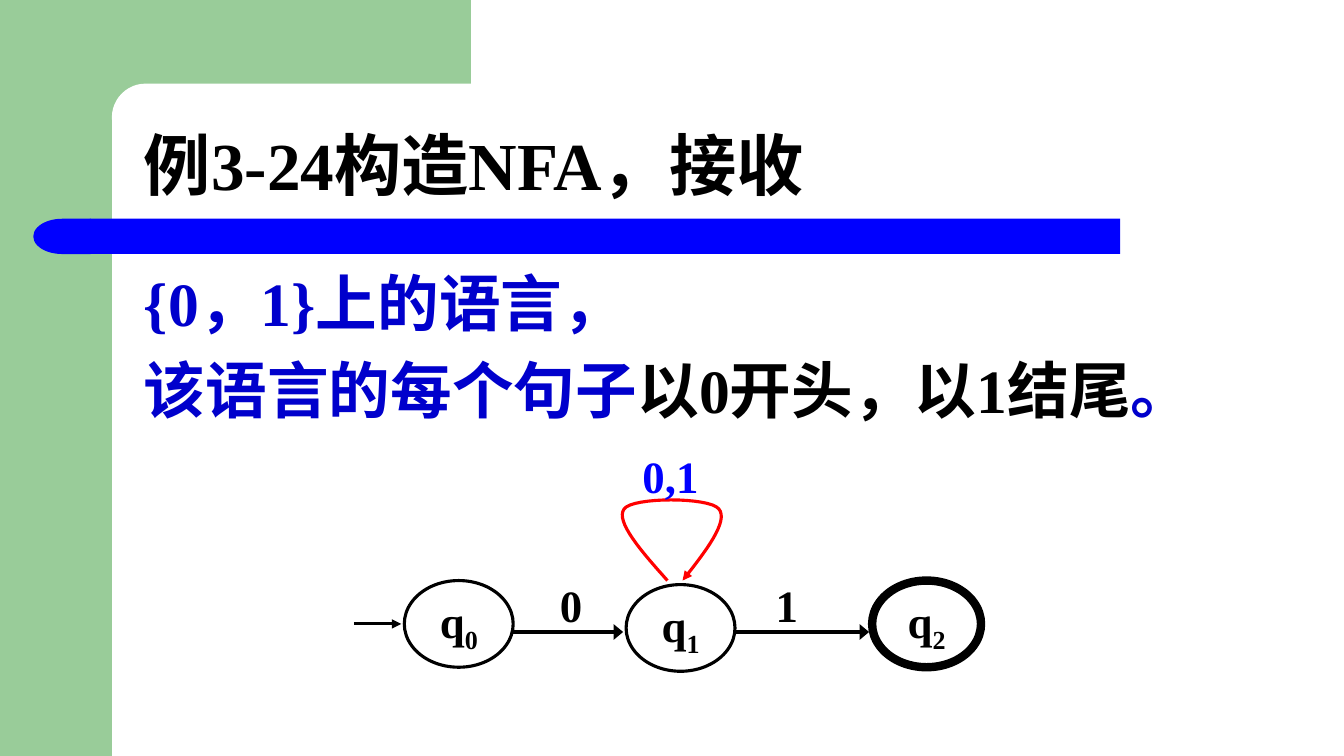
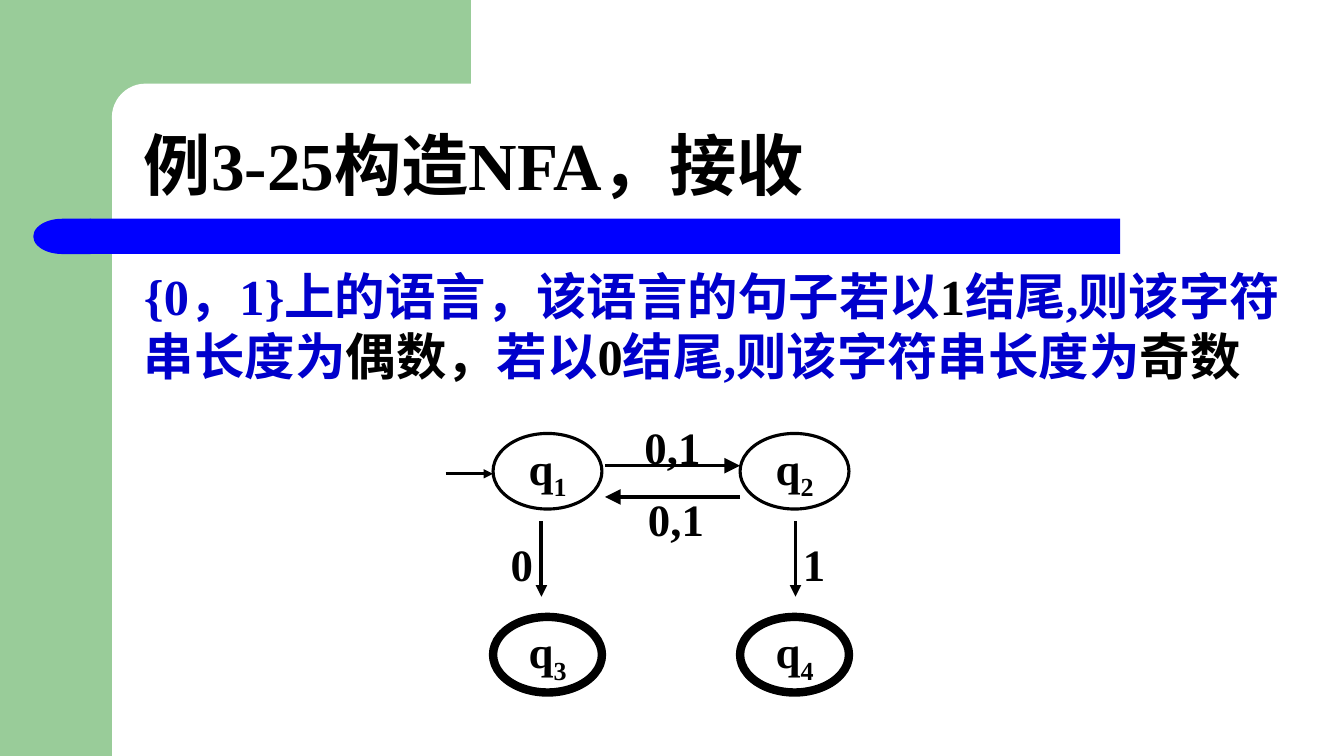
import pptx
import pptx.dml.color
import pptx.enum.lang
import pptx.enum.shapes
import pptx.enum.text
import pptx.oxml
import pptx.oxml.ns
import pptx.util

Inches, Pt = pptx.util.Inches, pptx.util.Pt
RGB = pptx.dml.color.RGBColor
SHAPE = pptx.enum.shapes.MSO_SHAPE
ALIGN = pptx.enum.text.PP_ALIGN
ANCHOR = pptx.enum.text.MSO_ANCHOR
CHINESE = pptx.enum.lang.MSO_LANGUAGE_ID.SIMPLIFIED_CHINESE

GREEN = RGB(0x99, 0xCC, 0x99)
WHITE = RGB(0xFF, 0xFF, 0xFF)
BLACK = RGB(0x00, 0x00, 0x00)
BLUE = RGB(0x00, 0x00, 0xFF)
NAVY = RGB(0x00, 0x00, 0xCC)
RED = RGB(0xFF, 0x00, 0x00)
FONT = "Times New Roman"
THIN, BOLD = 2.25, 6


# Basic parts
def write(frame, paras, size=32, align=ALIGN.LEFT, anchor=ANCHOR.TOP,
          wrap=True, inset=None, before=0, lead=None):
    """Fill a frame; each paragraph is a list of (text, colour, is_sub)."""
    frame.word_wrap = wrap
    frame.vertical_anchor = anchor
    if inset is not None:
        frame.margin_left = frame.margin_right = Inches(inset)
        frame.margin_top = frame.margin_bottom = Inches(inset)
    for i, runs in enumerate(paras):
        para = frame.add_paragraph() if i else frame.paragraphs[0]
        para.alignment = align
        para.space_before = Pt(before)
        if lead:
            para.line_spacing = lead
        for text, color, sub in runs:
            run = para.add_run()
            run.text = text
            font = run.font
            font.name, font.size, font.bold = FONT, Pt(size), True
            font.color.rgb = color
            font.language_id = CHINESE
            if sub:
                font._element.set("baseline", "-25000")


def text_box(slide, box, paras, **style):
    shape = slide.shapes.add_textbox(*map(Inches, box))
    write(shape.text_frame, paras, **style)


def block(slide, kind, box, color):
    shape = slide.shapes.add_shape(kind, *map(Inches, box))
    shape.shadow.inherit = False
    shape.fill.solid()
    shape.fill.fore_color.rgb = color
    shape.line.fill.background()
    return shape


def add_tip(line, wide="med", long="med"):
    tip = pptx.oxml.parse_xml(
        '<a:tailEnd %s type="triangle" w="%s" len="%s"/>'
        % (pptx.oxml.ns.nsdecls("a"), wide, long))
    line._get_or_add_ln().append(tip)


def arrow(slide, x1, y1, x2, y2, width=THIN, wide="med", long="med"):
    link = slide.shapes.add_connector(
        pptx.enum.shapes.MSO_CONNECTOR.STRAIGHT,
        *map(Inches, (x1, y1, x2, y2)))
    link.line.color.rgb = BLACK
    link.line.width = Pt(width)
    add_tip(link.line, wide, long)
    link._element.spPr.append(pptx.oxml.parse_xml(
        "<a:effectLst %s/>" % pptx.oxml.ns.nsdecls("a")))


def state(slide, x, y, high, index, final=False):
    oval = slide.shapes.add_shape(
        SHAPE.OVAL, *map(Inches, (x, y, 1.08, high)))
    oval.shadow.inherit = False
    oval.fill.background()
    oval.line.color.rgb = BLACK
    oval.line.width = Pt(BOLD if final else THIN)
    write(oval.text_frame, [[("q", BLACK, False), (index, BLACK, True)]],
          align=ALIGN.CENTER, anchor=ANCHOR.MIDDLE, wrap=False)


def label(slide, x, y, wide, text, color=BLACK):
    text_box(slide, (x, y, wide, 0.54), [[(text, color, False)]],
             align=ALIGN.CENTER, anchor=ANCHOR.MIDDLE, inset=0)


def loop(slide, x, y):
    """Red self-loop whose left foot stands at (x, y)."""
    curves = [
        ((0, 0), (-0.26, -0.29), (-0.52, -0.59), (-0.43, -0.71)),
        ((-0.43, -0.71), (-0.35, -0.83), (0.42, -0.83), (0.51, -0.71)),
        ((0.51, -0.71), (0.61, -0.59), (0.38, -0.29), (0.15, 0)),
    ]
    steps = 16
    dots = []
    for a, b, c, d in curves:
        for i in range(1, steps + 1):
            t = i / steps
            u = 1 - t
            mix = (u ** 3, 3 * u * u * t, 3 * u * t * t, t ** 3)
            dx, dy = (sum(m * p[k] for m, p in zip(mix, (a, b, c, d)))
                      for k in (0, 1))
            dots.append((Inches(x + dx), Inches(y + dy)))
    path = slide.shapes.build_freeform(Inches(x), Inches(y))
    path.add_line_segments(dots, close=False)
    shape = path.convert_to_shape()
    shape.shadow.inherit = False
    shape.fill.background()
    shape.line.color.rgb = RED
    shape.line.width = Pt(THIN)
    add_tip(shape.line)


# Shared frame, title and body
def base(deck, title, body, size, before):
    slide = deck.slides.add_slide(deck.slide_layouts[6])
    block(slide, SHAPE.RECTANGLE, (0, 0, 1.11, 7.5), GREEN)
    block(slide, SHAPE.RECTANGLE, (1, 0, 3.67, 1.17), GREEN)
    panel = block(slide, SHAPE.ROUNDED_RECTANGLE,
                  (1.11, 0.83, 7.44, 0.67), WHITE)
    panel.adjustments[0] = 0.5
    block(slide, SHAPE.RECTANGLE, (0.89, 2.17, 10.22, 0.35), BLUE)
    cap = block(slide, SHAPE.FLOWCHART_DELAY, (0.33, 2.17, 0.57, 0.35), BLUE)
    cap.rotation = 180
    text_box(slide, (1.33, 0.83, 11.67, 1.25), [[(title, BLACK, False)]],
             size=48, anchor=ANCHOR.BOTTOM, lead=0.9)
    text_box(slide, (1.33, 2.58, 11.67, 4.08), body, size=size, before=before)
    return slide


# Automaton in a row: starts with 0, ends with 1
def row_graph(slide, x, y):
    mid = y + 1.82
    loop(slide, x + 3.11, y + 1.31)
    state(slide, x + 0.5, y + 1.31, 0.86, "0")
    state(slide, x + 2.7, y + 1.35, 0.86, "1")
    state(slide, x + 5.14, y + 1.31, 0.86, "2", final=True)
    arrow(slide, x, y + 1.74, x + 0.47, y + 1.74)
    for start, end in ((1.57, 2.67), (3.77, 5.11)):
        arrow(slide, x + start, mid, x + end, mid, wide="lg")
    label(slide, x + 2.59, y, 1.1, "0,1", BLUE)
    label(slide, x + 2.03, y + 1.28, 0.25, "0")
    label(slide, x + 4.17, y + 1.28, 0.25, "1")


# Automaton in a square: parity of the length
def square_graph(slide, x, y):
    left, right = x + 0.47, x + 2.92
    for col, top, low in ((left, "1", "3"), (right, "2", "4")):
        state(slide, col, y + 0.14, 0.75, top)
        state(slide, col, y + 1.96, 0.75, low, final=True)
    arrow(slide, x, y + 0.54, left, y + 0.54)
    for start, end, drop in ((x + 1.58, right, 0.46),
                             (right, x + 1.58, 0.77)):
        arrow(slide, start, y + drop, end, y + drop, wide="lg", long="lg")
    for col in (x + 0.95, x + 3.47):
        arrow(slide, col, y + 1.01, col, y + 1.76, width=2.75)
    label(slide, x + 1.89, y, 0.72, "0,1")
    label(slide, x + 1.97, y + 0.71, 0.63, "0,1")
    label(slide, x + 0.63, y + 1.16, 0.25, "0")
    label(slide, x + 3.53, y + 1.16, 0.25, "1")


def tint(*texts):
    """Alternate navy and black runs."""
    return [(text, (NAVY, BLACK)[i % 2], False)
            for i, text in enumerate(texts)]


def main():
    deck = pptx.Presentation()
    deck.slide_width, deck.slide_height = Inches(13.33), Inches(7.5)

    first = base(deck, "例3-24构造NFA，接收", [
        tint("{0，1}上的语言，"),
        tint("该语言的每个句子", "以0开头，以1结尾", "。"),
    ], size=44, before=9)
    row_graph(first, 3.51, 4.45)

    second = base(deck, "例3-25构造NFA，接收", [
        tint("{0，1}上的语言，该语言的句子若以", "1", "结尾,则该字符串长度为",
             "偶数，", "若以", "0", "结尾,则该字符串长度为", "奇数"),
    ], size=36, before=7)
    square_graph(second, 4.42, 4.16)

    deck.save("out.pptx")


if __name__ == "__main__":
    main()
